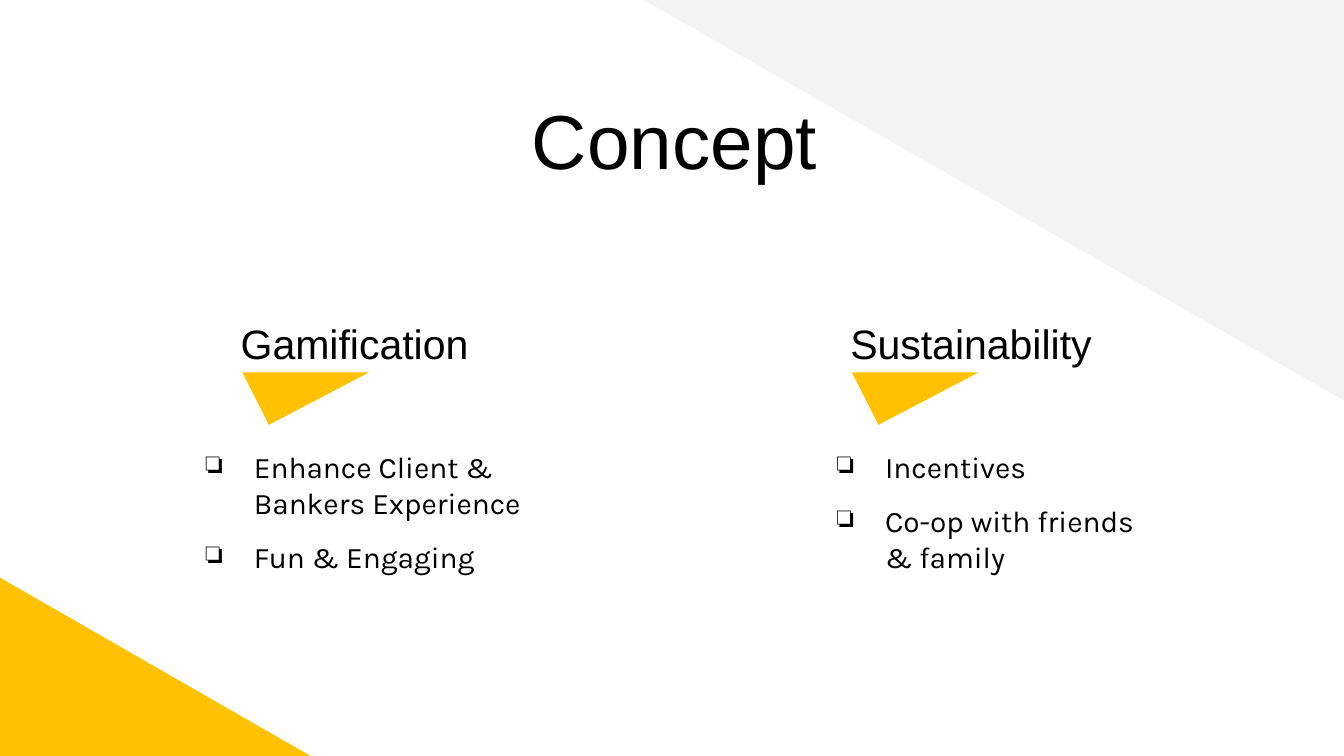
from lxml import etree
from pptx import Presentation, util as u
from pptx.dml.color import RGBColor
from pptx.enum import shapes, text
from pptx.oxml.ns import qn

WIDE, HIGH = 25.4, 14.29
HUES = {"ink": "000000", "gold": "FFC100", "pale": "F3F3F3"}
KIND = shapes.MSO_SHAPE
HEAD = {"name": "Arial", "size": u.Pt(22)}
BODY = {"name": "Karla", "size": u.Pt(16)}
TITLE = {"name": "Arial", "size": u.Pt(41)}


def place(box):
    return [u.Cm(n) for n in box]


def wedge(slide, kind, box, hue, turn=0):
    """Flat triangle in the given box."""
    part = slide.shapes.add_shape(kind, *place(box))
    part.shadow.inherit = False
    part.fill.solid()
    part.fill.fore_color.rgb = RGBColor.from_string(HUES[hue])
    part.line.fill.background()
    part.rotation = turn
    return part


def write(slide, box, lines, font, para=None, top=0.25):
    """Text box with one paragraph per line."""
    frame = slide.shapes.add_textbox(*place(box)).text_frame
    frame.word_wrap = True
    frame.vertical_anchor = text.MSO_ANCHOR.TOP
    frame.margin_left = frame.margin_right = frame.margin_bottom = u.Cm(0.25)
    frame.margin_top = u.Cm(top)
    for i, line in enumerate(lines):
        par = frame.paragraphs[0] if i == 0 else frame.add_paragraph()
        for key, val in (para or {}).items():
            setattr(par, key, val)
        run = par.add_run()
        run.text = line
        for key, val in font.items():
            setattr(run.font, key, val)
        run.font.color.rgb = RGBColor.from_string(HUES["ink"])
    return frame


def bullet(par):
    """Hanging box-shaped bullet."""
    props = par._p.get_or_add_pPr()
    props.set("marL", str(u.Cm(1.27)))
    props.set("indent", str(u.Cm(-0.91)))
    tint = etree.SubElement(props, qn("a:buClr"))
    etree.SubElement(tint, qn("a:srgbClr"), val=HUES["ink"])
    etree.SubElement(props, qn("a:buChar"), char="❏")


def back(slide, box):
    """Corner triangles: pale at top right, gold at bottom left."""
    x, y, w, h = box
    wedge(slide, KIND.RIGHT_TRIANGLE, (x + w - 13.28, y - 0.03, 13.28, 7.6), "pale", 180)
    wedge(slide, KIND.RIGHT_TRIANGLE, (x, y + h - 3.37, 5.87, 3.37), "gold")


def title(slide, box, line):
    write(slide, box, [line], TITLE, {"alignment": text.PP_ALIGN.CENTER}, top=0.39)


def column(slide, box, head, span, shift, items):
    """Heading, gold marker and bullet list; shift indents the heading."""
    x, y, w, h = box
    style = {"line_spacing": 1.15, "space_after": u.Pt(16)}
    write(slide, (x + shift, y, span, 1.37), [head], HEAD, style, top=0.32)

    mark = wedge(slide, KIND.ISOSCELES_TRIANGLE,
                 (x + shift + 0.28, y + 1.48, 2.39, 0.99), "gold", 180)
    mark.adjustments[0] = 0.79

    frame = write(slide, (x, y + 2.67, w, h - 2.67), items, BODY)
    for i, par in enumerate(frame.paragraphs):
        par.space_before = u.Pt(10 if i else 0)
        bullet(par)


def main():
    deck = Presentation()
    deck.slide_width, deck.slide_height = u.Cm(WIDE), u.Cm(HIGH)
    slide = deck.slides.add_slide(deck.slide_layouts[6])

    back(slide, (0, 0, WIDE, HIGH))
    title(slide, (1.5, 1.37, 22.5, 1.6), "Concept")
    column(slide, (3.28, 5.56, 7.26, 5.44), "Gamification", 5.18, 1.02,
           ["Enhance Client & Bankers Experience", "Fun & Engaging"])
    column(slide, (15.21, 5.56, 6.78, 5.44), "Sustainability", 5.64, 0.61,
           ["Incentives", "Co-op with friends & family"])

    deck.save("out.pptx")


if __name__ == "__main__":
    main()
